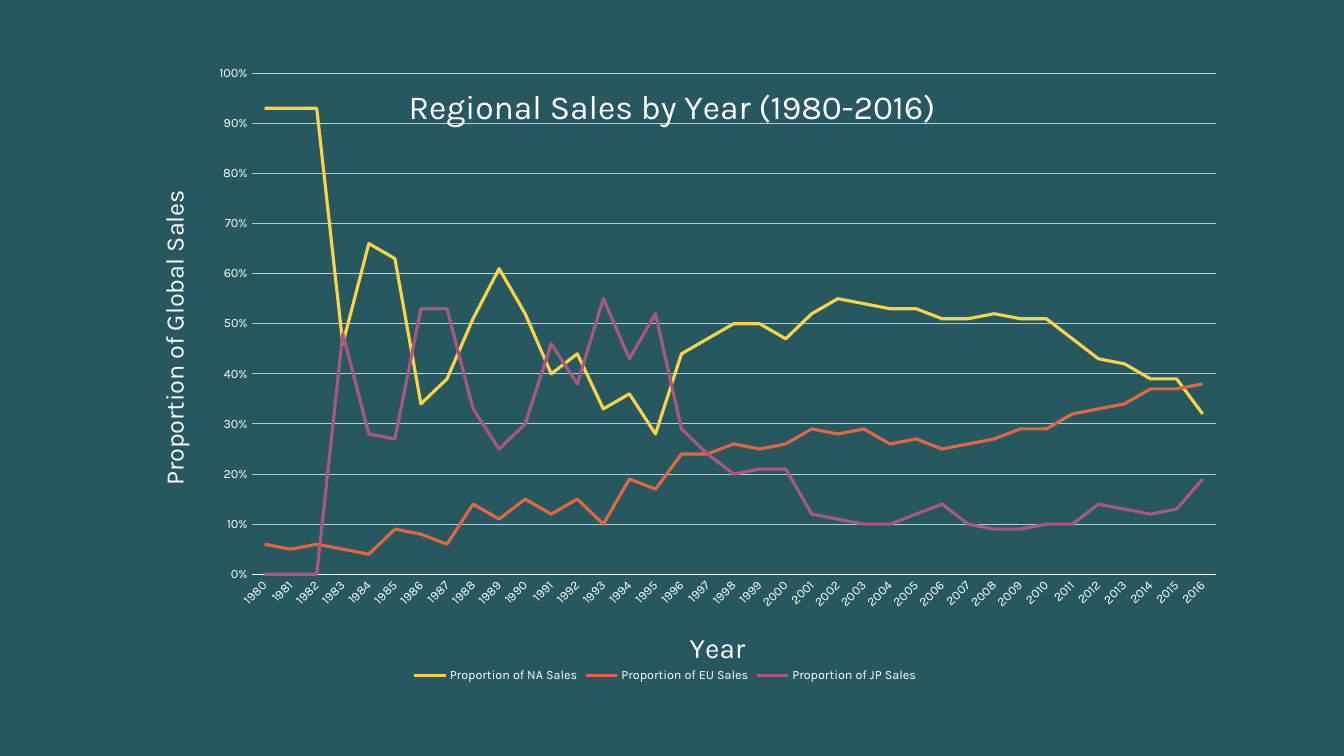
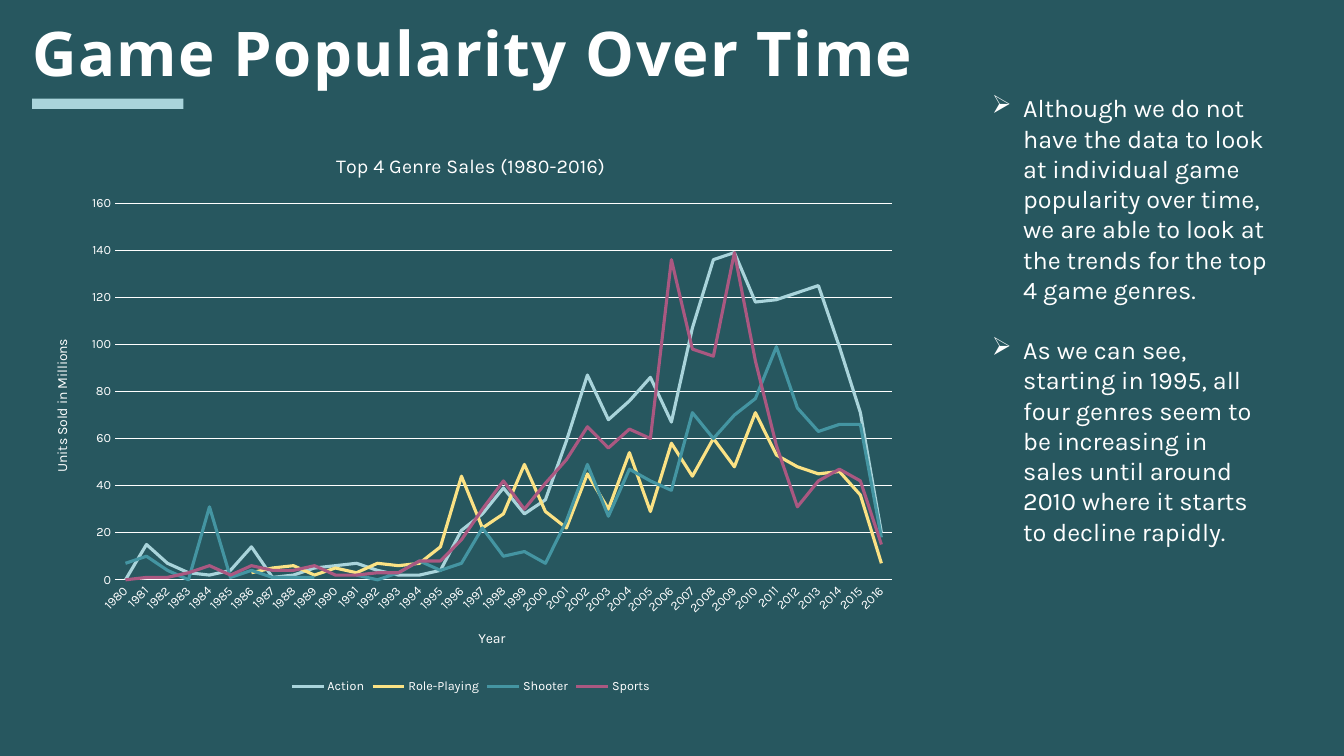
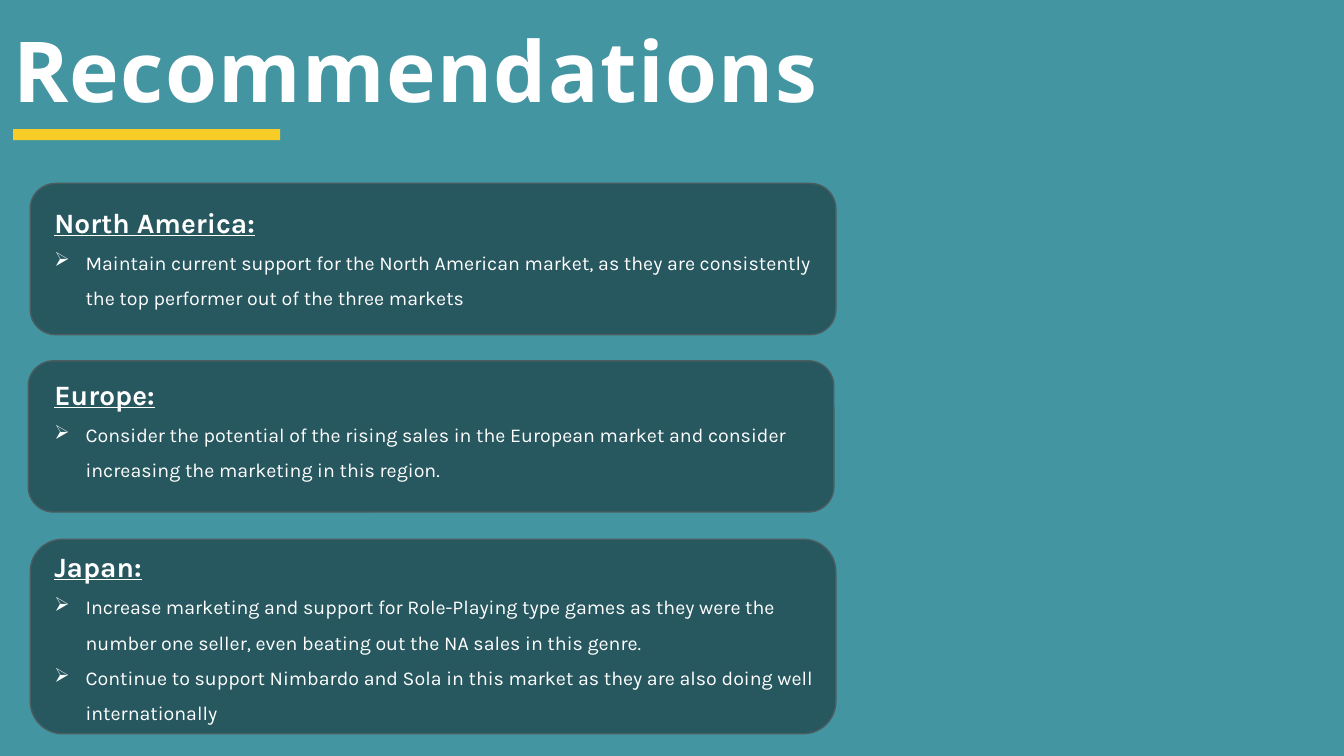
from lxml import etree
from pptx import Presentation
from pptx.chart.data import CategoryChartData
from pptx.dml.color import RGBColor
from pptx.enum.chart import XL_CHART_TYPE, XL_LEGEND_POSITION, XL_TICK_MARK
from pptx.enum.shapes import MSO_SHAPE
from pptx.enum.text import MSO_ANCHOR, MSO_AUTO_SIZE, PP_ALIGN
from pptx.oxml import parse_xml
from pptx.oxml.ns import nsdecls, qn
from pptx.util import Inches, Pt

DARK, TEAL, PALE, WHITE = "27575F", "4495A2", "A9D4DB", "FFFFFF"
YELLOW, LIGHT_YELLOW, GOLD = "F9D448", "FBE284", "F8CC27"
ORANGE, PLUM, CARD_EDGE = "E06742", "AA5881", "4A5D60"
BODY_FONT, TITLE_FONT = "Karla", "Noto Sans"
YEARS = [str(year) for year in range(1980, 2017)]
rgb = RGBColor.from_string


def add_line_chart(slide, box, titles, series, number_format, grid_color):
    """Add a line chart; titles holds (text, size) for chart, category and value axis."""
    data = CategoryChartData(number_format=number_format)
    data.categories = YEARS
    for name, line_color, values in series:
        data.add_series(name, values)
    frame = slide.shapes.add_chart(
        XL_CHART_TYPE.LINE, *[Inches(length) for length in box], data)
    chart = frame.chart
    chart.font.name = BODY_FONT
    chart.font.size = Pt(10)
    chart.font.color.rgb = rgb(WHITE)

    for owner, (text, size) in zip(
            (chart.chart_title, chart.category_axis.axis_title,
             chart.value_axis.axis_title), titles):
        owner.text_frame.text = text
        font = owner.text_frame.paragraphs[0].runs[0].font
        font.name, font.size, font.bold = BODY_FONT, Pt(size), False
        font.color.rgb = rgb(WHITE)

    chart.has_legend = True
    chart.legend.position = XL_LEGEND_POSITION.BOTTOM
    chart.legend.include_in_layout = False
    for part in (chart.legend.font, chart.category_axis.tick_labels.font,
                 chart.value_axis.tick_labels.font):
        part.name, part.size = BODY_FONT, Pt(9)
        part.color.rgb = rgb(WHITE)

    for axis in (chart.category_axis, chart.value_axis):
        axis.major_tick_mark = axis.minor_tick_mark = XL_TICK_MARK.NONE
    category_line = chart.category_axis.format.line
    category_line.color.rgb = rgb(WHITE)
    category_line.width = Pt(0.75)
    label_body = chart.category_axis._element.find(qn("c:txPr")).find(qn("a:bodyPr"))
    label_body.set("rot", "-2700000")
    value_axis = chart.value_axis
    value_axis.format.line.fill.background()
    value_axis.minimum_scale = 0
    value_axis.tick_labels.number_format = number_format
    value_axis.tick_labels.number_format_is_linked = False
    value_axis.major_gridlines.format.line.color.rgb = rgb(grid_color)
    value_axis.major_gridlines.format.line.width = Pt(0.75)

    for plotted, (name, line_color, values) in zip(chart.plots[0].series, series):
        plotted.smooth = False
        plotted.format.line.color.rgb = rgb(line_color)
        plotted.format.line.width = Pt(2.25)
    chart.plots[0].vary_by_categories = False
    return chart


def add_bullet_box(slide, box, heading, bullets, size, line_spacing, gap):
    """Add a text box with an optional underlined heading above arrow bullets."""
    shape = slide.shapes.add_textbox(*[Inches(length) for length in box])
    text_frame = shape.text_frame
    text_frame.word_wrap = True
    text_frame.auto_size = MSO_AUTO_SIZE.SHAPE_TO_FIT_TEXT
    lines = ([heading] if heading else []) + bullets
    text_frame.text = "\n".join(lines)
    for index, paragraph in enumerate(text_frame.paragraphs):
        is_heading = bool(heading) and index == 0
        paragraph.line_spacing = line_spacing
        if index:
            paragraph.space_before = Pt(gap)
        font = paragraph.runs[0].font
        font.name = BODY_FONT
        font.size = Pt(20 if is_heading else size)
        font.bold = font.underline = is_heading
        font.color.rgb = rgb(WHITE)
        if not is_heading:
            properties = paragraph._p.get_or_add_pPr()
            properties.set("marL", str(Inches(0.31)))
            properties.set("indent", str(-Inches(0.31)))
            etree.SubElement(properties, qn("a:buChar")).set("char", "➢")


presentation = Presentation()
presentation.slide_width = Inches(13.33)
presentation.slide_height = Inches(7.5)
title_only, blank = presentation.slide_layouts[5], presentation.slide_layouts[6]

# Slides, with their titles and accent bars
regional_slide = presentation.slides.add_slide(blank)
genre_slide = presentation.slides.add_slide(title_only)
advice_slide = presentation.slides.add_slide(title_only)
for slide, background in ((regional_slide, DARK), (genre_slide, DARK), (advice_slide, TEAL)):
    slide.background.fill.solid()
    slide.background.fill.fore_color.rgb = rgb(background)

for slide, text, size, title_box, bar_box, bar_color in (
    (genre_slide, "Game Popularity Over Time", 44,
     (0.32, -0.39, 11.27, 1.27), (0.32, 0.98, 1.5, 0.1), PALE),
    (advice_slide, "Recommendations", 60,
     (0.13, 0.15, 9.22, 1.03), (0.13, 1.28, 2.65, 0.11), GOLD),
):
    title = slide.shapes.title
    title.left, title.top, title.width, title.height = [Inches(length) for length in title_box]
    text_frame = title.text_frame
    text_frame.text = text
    text_frame.word_wrap = True
    text_frame.auto_size = MSO_AUTO_SIZE.NONE
    text_frame.vertical_anchor = MSO_ANCHOR.BOTTOM
    text_frame.margin_left = text_frame.margin_right = 0
    text_frame.margin_top = text_frame.margin_bottom = 0
    paragraph = text_frame.paragraphs[0]
    paragraph.alignment = PP_ALIGN.LEFT
    paragraph.line_spacing = 0.8
    font = paragraph.runs[0].font
    font.name, font.size, font.bold = TITLE_FONT, Pt(size), True
    font.color.rgb = rgb(WHITE)
    paragraph.runs[0]._r.get_or_add_rPr().set("spc", "100")
    bar = slide.shapes.add_shape(
        MSO_SHAPE.RECTANGLE, *[Inches(length) for length in bar_box])
    bar.shadow.inherit = False
    bar.fill.solid()
    bar.fill.fore_color.rgb = rgb(bar_color)
    bar.line.fill.background()

# Regional sales
regional_percents = (
    ("Proportion of NA Sales", YELLOW,
     [93, 93, 93, 46, 66, 63, 34, 39, 51, 61, 52, 40, 44, 33, 36, 28, 44, 47, 50, 50,
      47, 52, 55, 54, 53, 53, 51, 51, 52, 51, 51, 47, 43, 42, 39, 39, 32]),
    ("Proportion of EU Sales", ORANGE,
     [6, 5, 6, 5, 4, 9, 8, 6, 14, 11, 15, 12, 15, 10, 19, 17, 24, 24, 26, 25,
      26, 29, 28, 29, 26, 27, 25, 26, 27, 29, 29, 32, 33, 34, 37, 37, 38]),
    ("Proportion of JP Sales", PLUM,
     [0, 0, 0, 48, 28, 27, 53, 53, 33, 25, 30, 46, 38, 55, 43, 52, 29, 24, 20, 21,
      21, 12, 11, 10, 10, 12, 14, 10, 9, 9, 10, 10, 14, 13, 12, 13, 19]),
)
regional_chart = add_line_chart(
    regional_slide, (1.25, 0.59, 10.83, 6.82),
    (("Regional Sales by Year (1980-2016)", 24), ("Year", 20),
     ("Proportion of Global Sales", 18)),
    [(name, line_color, [percent / 100 for percent in percents])
     for name, line_color, percents in regional_percents],
    "0%", PALE)
regional_chart.value_axis.maximum_scale = 1
regional_chart.value_axis.major_unit = 0.1

# Fixed places for the plot area and the legend
plot_area = regional_chart._chartSpace.chart.plotArea
for old_layout in plot_area.findall(qn("c:layout")):
    plot_area.remove(old_layout)
plot_area.insert(0, parse_xml(
    f'<c:layout {nsdecls("c")}><c:manualLayout><c:layoutTarget val="inner"/>'
    '<c:xMode val="edge"/><c:yMode val="edge"/><c:x val="0.115"/><c:y val="0.02"/>'
    '<c:w val="0.883"/><c:h val="0.729"/></c:manualLayout></c:layout>'))
legend = regional_chart.legend._element
for old_layout in legend.findall(qn("c:layout")):
    legend.remove(old_layout)
legend.find(qn("c:legendPos")).addnext(parse_xml(
    f'<c:layout {nsdecls("c")}><c:manualLayout><c:xMode val="edge"/><c:yMode val="edge"/>'
    '<c:x val="0.26"/><c:y val="0.88"/></c:manualLayout></c:layout>'))

# Genre sales
genre_series = (
    ("Action", PALE,
     [0, 15, 7, 3, 2, 4, 14, 1, 2, 5, 6, 7, 4, 2, 2, 4, 21, 28, 39, 28,
      34, 59, 87, 68, 76, 86, 67, 107, 136, 139, 118, 119, 122, 125, 99, 71, 20]),
    ("Role-Playing", LIGHT_YELLOW,
     [None] * 6 + [3, 5, 6, 2, 5, 3, 7, 6, 7, 14, 44, 22, 28, 49,
      29, 22, 45, 30, 54, 29, 58, 44, 60, 48, 71, 53, 48, 45, 46, 36, 7]),
    ("Shooter", TEAL,
     [7, 10, 4, 0, 31, 1, 4, 1, 1, 1, None, 2, 0, 3, 8, 4, 7, 22, 10, 12,
      7, 25, 49, 27, 47, 42, 38, 71, 60, 70, 77, 99, 73, 63, 66, 66, 18]),
    ("Sports", PLUM,
     [0, 1, 1, 3, 6, 2, 6, 4, 4, 6, 2, 2, 3, 3, 8, 8, 17, 30, 42, 30,
      41, 51, 65, 56, 64, 60, 136, 98, 95, 139, 93, 57, 31, 42, 47, 42, 15]),
)
add_line_chart(
    genre_slide, (0.32, 1.32, 8.7, 5.6),
    (("Top 4 Genre Sales (1980-2016)", 14), ("Year", 10), ("Units Sold in Millions", 10)),
    genre_series, "General", WHITE)
add_bullet_box(
    genre_slide, (9.74, 0.87, 2.94, 4.64), None,
    ["Although we do not have the data to look at individual game popularity over time, "
     "we are able to look at the trends for the top 4 game genres.",
     "As we can see, starting in 1995, all four genres seem to be increasing in sales "
     "until around 2010 where it starts to decline rapidly."],
    18, 1, 21.5)

# Recommendation cards
for heading, card_box, text_box, bullets in (
    ("North America:", (0.3, 1.82, 7.99, 1.5), (0.44, 1.82, 7.85, 1.27),
     ["Maintain current support for the North American market, as they are consistently "
      "the top performer out of the three markets"]),
    ("Europe:", (0.28, 3.58, 7.99, 1.5), (0.44, 3.53, 7.85, 1.27),
     ["Consider the potential of the rising sales in the European market and consider "
      "increasing the marketing in this region."]),
    ("Japan:", (0.3, 5.35, 7.99, 1.93), (0.44, 5.24, 7.85, 1.98),
     ["Increase marketing and support for Role-Playing type games as they were the number "
      "one seller, even beating out the NA sales in this genre.",
      "Continue to support Nimbardo and Sola in this market as they are also doing well "
      "internationally"]),
):
    card = advice_slide.shapes.add_shape(
        MSO_SHAPE.ROUNDED_RECTANGLE, *[Inches(length) for length in card_box])
    card.shadow.inherit = False
    card.fill.solid()
    card.fill.fore_color.rgb = rgb(DARK)
    card.line.color.rgb = rgb(CARD_EDGE)
    card.line.width = Pt(1)
    add_bullet_box(advice_slide, text_box, heading, bullets, 14, 1.5, 0)

presentation.save("out.pptx")
